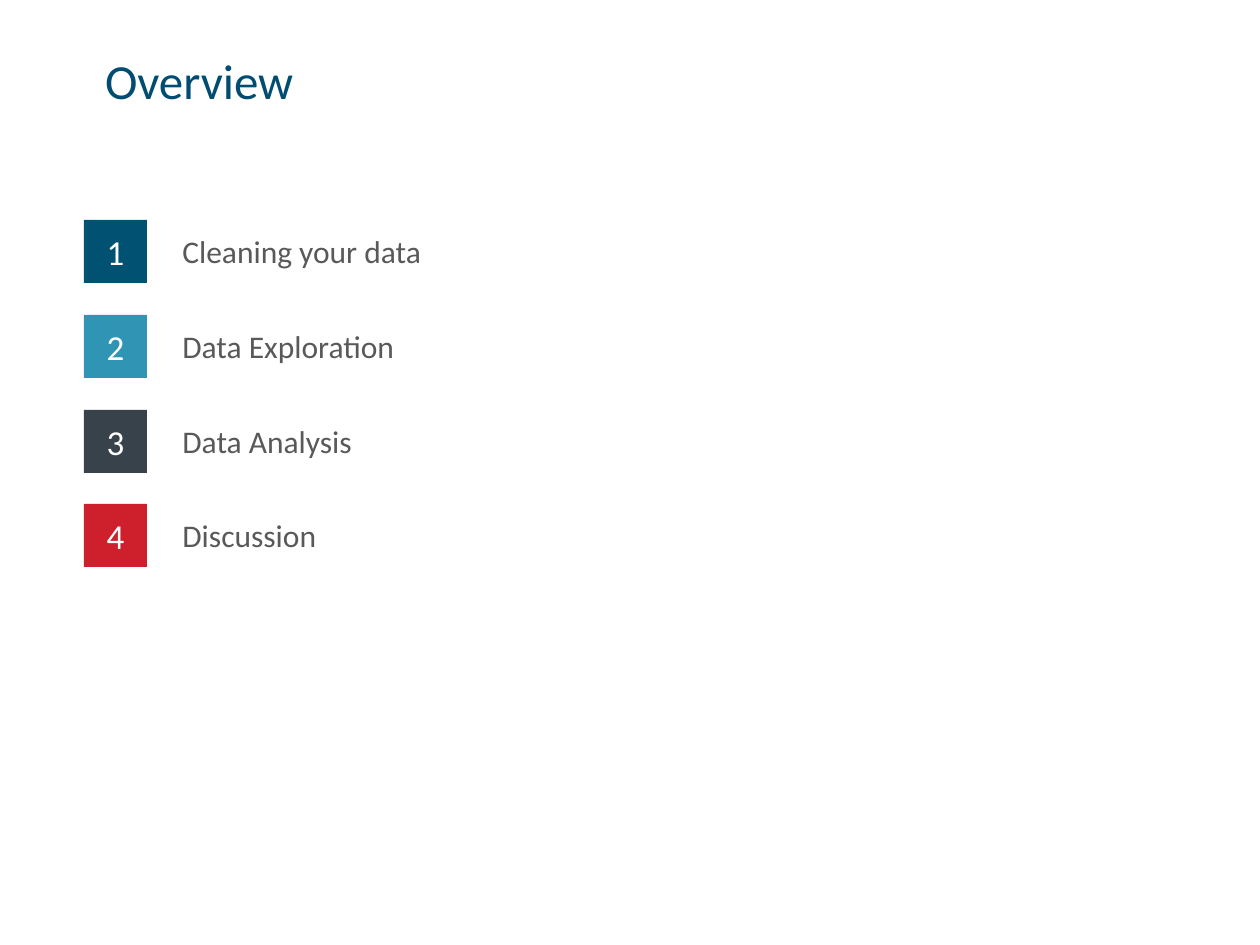
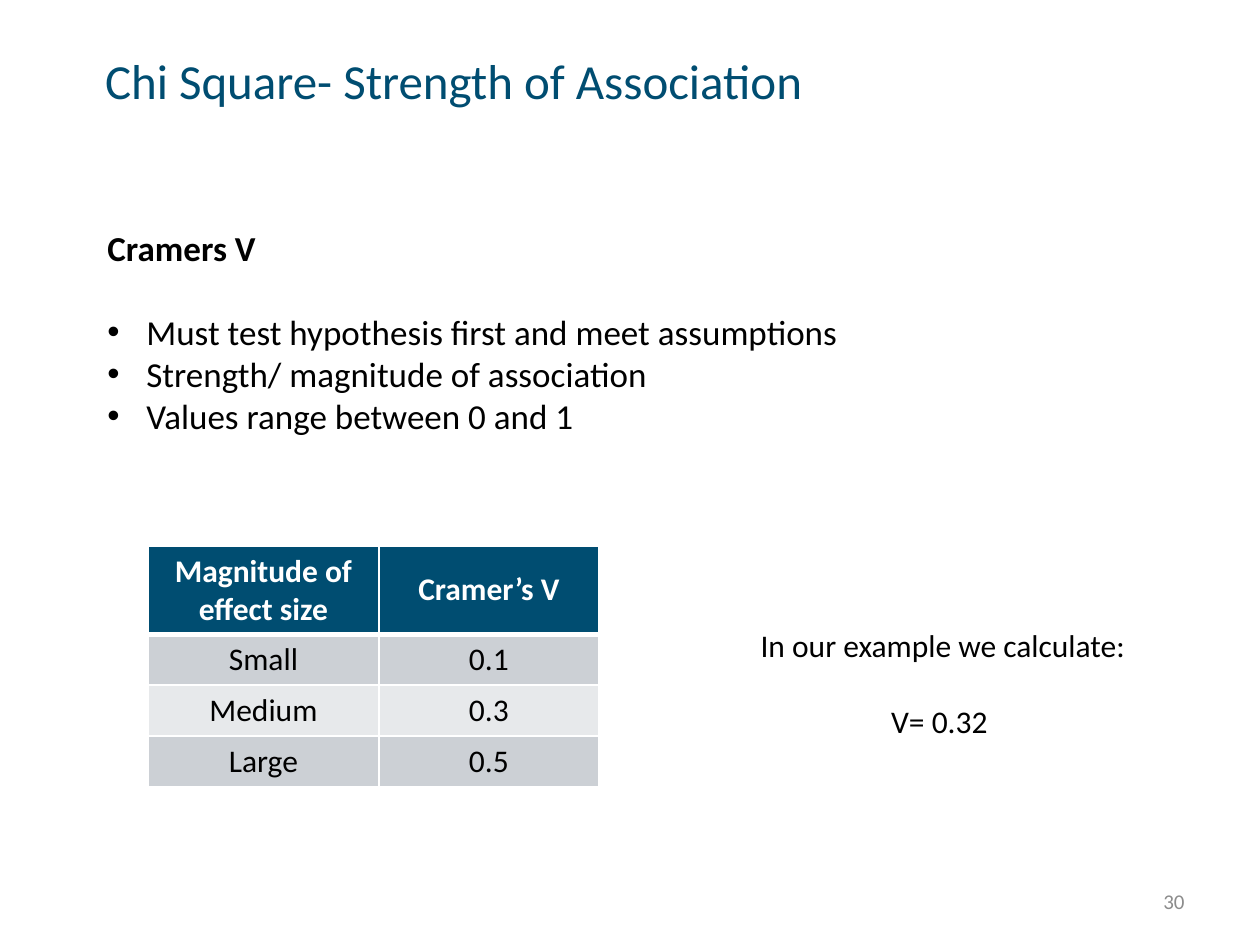
from dataclasses import dataclass

from lxml import etree
from pptx import Presentation
from pptx import util as u
from pptx.dml.color import RGBColor
from pptx.enum import shapes, text
from pptx.oxml.ns import qn
from pptx.slide import Slide
from pptx.table import _Cell as Cell
from pptx.text.text import TextFrame, _Paragraph as Paragraph

EMU_PER_PX = u.Inches(1) // 126


def px(n: float) -> u.Emu:
    return u.Emu(round(n * EMU_PER_PX))


@dataclass(frozen=True)
class Theme:
    font: str = "Calibri"
    title: str = "004D71"
    ink: str = "000000"
    label: str = "595959"
    page: str = "8C8C8C"
    white: str = "FFFFFF"
    bands: tuple[str, ...] = ("CCD0D5", "E7E9EB")
    title_pt: int = 28
    body_pt: int = 20
    small_pt: int = 18
    page_pt: int = 12
    rule_pt: int = 1
    header_rule_pt: int = 3


@dataclass(frozen=True)
class Box:
    x: int
    y: int
    w: int
    h: int

    def emu(self) -> tuple[u.Emu, ...]:
        return px(self.x), px(self.y), px(self.w), px(self.h)


@dataclass(frozen=True)
class AgendaItem:
    label: str
    fill: str
    width: int


THEME = Theme()
LEFT, CENTER, RIGHT = text.PP_ALIGN.LEFT, text.PP_ALIGN.CENTER, text.PP_ALIGN.RIGHT
TOP, MIDDLE = text.MSO_ANCHOR.TOP, text.MSO_ANCHOR.MIDDLE

TITLE_BOX = Box(105, 19, 748, 121)
PAGE_BOX = Box(903, 876, 294, 50)

AGENDA = (
    AgendaItem("Cleaning your data", "005172", 267),
    AgendaItem("Data Exploration", "3095B4", 239),
    AgendaItem("Data Analysis", "37424A", 197),
    AgendaItem("Discussion", "CD202C", 160),
)
AGENDA_X, AGENDA_Y, AGENDA_STEP = 84, 220.5, 94.5
TILE, LABEL_X, LABEL_DY, LABEL_H = 63, 170, 6, 50

POINTS = (
    "Must test hypothesis first and meet assumptions",
    "Strength/ magnitude of association",
    "Values range between 0 and 1",
)
POINT_INDENT = 39
EFFECT_SIZES = (
    ("Magnitude of effect size", "Cramer’s V"),
    ("Small", "0.1"),
    ("Medium", "0.3"),
    ("Large", "0.5"),
)
COLUMN_WIDTHS = (231, 220)
HEADER_H, ROW_H = 87, 51


def add_run(p: Paragraph, content: str, size: int, color: str,
            bold: bool = False, align: text.PP_ALIGN = LEFT) -> None:
    p.alignment = align
    r = p.add_run()
    r.text = content
    r.font.name = THEME.font
    r.font.size = u.Pt(size)
    r.font.bold = bold
    r.font.color.rgb = RGBColor.from_string(color)


def add_text_box(s: Slide, box: Box, anchor: text.MSO_ANCHOR = TOP) -> TextFrame:
    tf = s.shapes.add_textbox(*box.emu()).text_frame
    tf.word_wrap = False
    tf.vertical_anchor = anchor
    return tf


def add_titled_slide(prs: Presentation, title: str) -> Slide:
    s = prs.slides.add_slide(prs.slide_layouts.get_by_name("Title Only"))
    sp = s.shapes.title
    sp.left, sp.top, sp.width, sp.height = TITLE_BOX.emu()
    tf = sp.text_frame
    tf.margin_left = tf.margin_top = tf.margin_right = tf.margin_bottom = 0
    tf.vertical_anchor = MIDDLE
    add_run(tf.paragraphs[0], title, THEME.title_pt, THEME.title)
    return s


def add_page_number(s: Slide, number: int) -> None:
    tf = add_text_box(s, PAGE_BOX, MIDDLE)
    tf.word_wrap = True
    add_run(tf.paragraphs[0], str(number), THEME.page_pt, THEME.page, align=RIGHT)


def add_agenda_item(s: Slide, number: int, item: AgendaItem) -> None:
    y = round(AGENDA_Y + (number - 1) * AGENDA_STEP)
    sp = s.shapes.add_shape(shapes.MSO_SHAPE.RECTANGLE, *Box(AGENDA_X, y, TILE, TILE).emu())
    sp.shadow.inherit = False
    sp.fill.solid()
    sp.fill.fore_color.rgb = RGBColor.from_string(item.fill)
    sp.line.fill.background()
    sp.text_frame.vertical_anchor = MIDDLE
    add_run(sp.text_frame.paragraphs[0], str(number), THEME.body_pt, THEME.white, align=CENTER)
    tf = add_text_box(s, Box(LABEL_X, y + LABEL_DY, item.width, LABEL_H))
    add_run(tf.paragraphs[0], item.label, THEME.small_pt, THEME.label)


def set_bullet(p: Paragraph) -> None:
    pPr = p._p.get_or_add_pPr()
    pPr.set("marL", str(px(POINT_INDENT)))
    pPr.set("indent", str(-px(POINT_INDENT)))
    etree.SubElement(pPr, qn("a:buFont"), typeface="Arial")
    etree.SubElement(pPr, qn("a:buChar"), char="•")


def set_borders(cell: Cell, top: int, bottom: int) -> None:
    tcPr = cell._tc.get_or_add_tcPr()
    widths = {"lnL": THEME.rule_pt, "lnR": THEME.rule_pt, "lnT": top, "lnB": bottom}
    for i, (side, width) in enumerate(widths.items()):
        ln = etree.Element(qn(f"a:{side}"), w=str(u.Pt(width)))
        fill = etree.SubElement(ln, qn("a:solidFill"))
        etree.SubElement(fill, qn("a:srgbClr"), val=THEME.white)
        tcPr.insert(i, ln)


def add_effect_table(s: Slide, x: int, y: int) -> None:
    heights = [HEADER_H] + [ROW_H] * (len(EFFECT_SIZES) - 1)
    box = Box(x, y, sum(COLUMN_WIDTHS), sum(heights))
    table = s.shapes.add_table(len(heights), len(COLUMN_WIDTHS), *box.emu()).table
    for column, width in zip(table.columns, COLUMN_WIDTHS):
        column.width = px(width)
    for i, (values, height) in enumerate(zip(EFFECT_SIZES, heights)):
        table.rows[i].height = px(height)
        header = i == 0
        fill = THEME.title if header else THEME.bands[(i - 1) % len(THEME.bands)]
        for j, value in enumerate(values):
            cell = table.cell(i, j)
            cell.vertical_anchor = MIDDLE if header else TOP
            cell.fill.solid()
            cell.fill.fore_color.rgb = RGBColor.from_string(fill)
            set_borders(cell,
                        top=THEME.header_rule_pt if i == 1 else THEME.rule_pt,
                        bottom=THEME.header_rule_pt if header else THEME.rule_pt)
            add_run(cell.text_frame.paragraphs[0], value, THEME.small_pt,
                    THEME.white if header else THEME.ink, header, CENTER)


def build_overview(prs: Presentation) -> None:
    s = add_titled_slide(prs, "Overview")
    for number, item in enumerate(AGENDA, 1):
        add_agenda_item(s, number, item)


def build_association(prs: Presentation) -> None:
    s = add_titled_slide(prs, "Chi Square- Strength of Association")
    add_page_number(s, 30)

    tf = add_text_box(s, Box(95, 220, 764, 301))
    add_run(tf.paragraphs[0], "Cramers V", THEME.body_pt, THEME.ink, bold=True)
    for i, point in enumerate(POINTS):
        p = tf.add_paragraph()
        if i == 0:
            p.space_before = u.Pt(24)
        set_bullet(p)
        add_run(p, point, THEME.body_pt, THEME.ink)

    add_effect_table(s, 148, 546)

    tf = add_text_box(s, Box(746, 620, 394, 127))
    add_run(tf.paragraphs[0], "In our example we calculate:", THEME.small_pt, THEME.ink, align=CENTER)
    p = tf.add_paragraph()
    p.space_before = u.Pt(22)
    add_run(p, "V= 0.32 ", THEME.small_pt, THEME.ink, align=CENTER)


def main() -> None:
    prs = Presentation()
    prs.slide_width, prs.slide_height = px(1260), px(945)
    build_overview(prs)
    build_association(prs)
    prs.save("out.pptx")


main()
